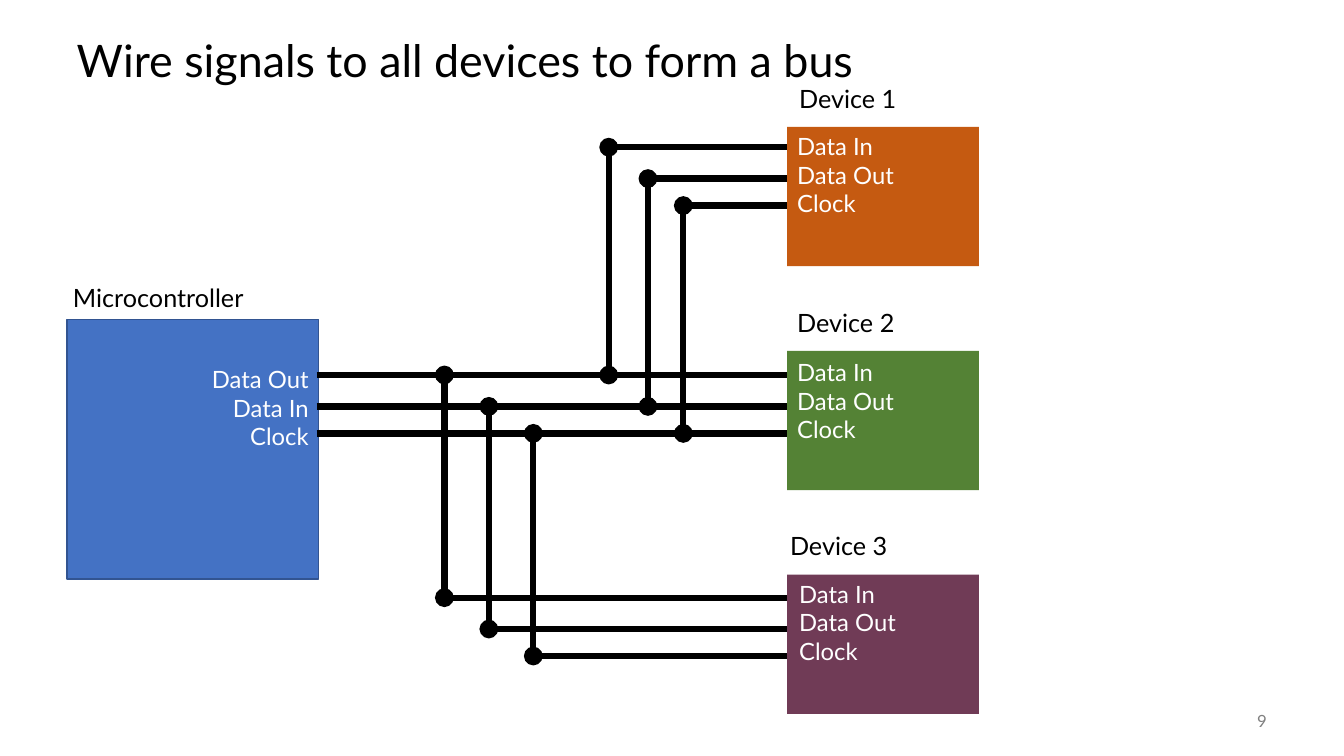
import pptx
import pptx.util
import pptx.dml.color
import pptx.enum.shapes
import pptx.enum.text
import pptx.oxml.ns
import pptx.oxml.xmlchemy

Cm = pptx.util.Cm
Pt = pptx.util.Pt
ALIGN = pptx.enum.text.PP_ALIGN
ANCHOR = pptx.enum.text.MSO_ANCHOR
AUTO = pptx.enum.text.MSO_AUTO_SIZE

BUS_YS = (9.45, 10.24, 10.92)
DEVICE_X, DEVICE_W, DEVICE_H = 19.84, 4.83, 3.51
DEVICE_TOP, DEVICE_PITCH = 3.2, 5.64
PINS = "Data In\nData Out\nClock"


def color(value):
    return pptx.dml.color.RGBColor.from_string(value)


def write(tf, text, size=18, fill="000000", align=ALIGN.LEFT,
          anchor=ANCHOR.TOP, auto=AUTO.SHAPE_TO_FIT_TEXT, spacing=None):
    tf.word_wrap = True
    tf.text = text
    tf.auto_size = auto
    tf.vertical_anchor = anchor
    for p in tf.paragraphs:
        p.alignment = align
        p.line_spacing = spacing
        for r in p.runs:
            r.font.name = "Lato"
            r.font.size = Pt(size)
            r.font.color.rgb = color(fill)


def add_text(s, box, text, **fmt):
    sp = s.shapes.add_textbox(*map(Cm, box))
    write(sp.text_frame, text, **fmt)


def add_block(s, box, fill, line=None):
    sp = s.shapes.add_shape(pptx.enum.shapes.MSO_SHAPE.RECTANGLE, *map(Cm, box))
    sp.shadow.inherit = False
    sp.fill.solid()
    sp.fill.fore_color.rgb = color(fill)
    if line:
        sp.line.color.rgb = color(line)
        sp.line.width = Pt(1)
    else:
        sp.line.fill.background()


def add_wire(s, x1, y1, x2, y2, dots=False):
    wire = s.shapes.add_connector(
        pptx.enum.shapes.MSO_CONNECTOR.STRAIGHT, Cm(x1), Cm(y1), Cm(x2), Cm(y2))
    wire.line.color.rgb = color("000000")
    wire.line.width = Pt(4.5)
    sp_pr = wire._element.spPr
    if dots:
        ln = sp_pr.find(pptx.oxml.ns.qn("a:ln"))
        for tag in ("a:headEnd", "a:tailEnd"):
            end = pptx.oxml.xmlchemy.OxmlElement(tag)
            end.set("type", "oval")
            ln.append(end)
    sp_pr.append(pptx.oxml.xmlchemy.OxmlElement("a:effectLst"))


def add_title(s, box, text):
    sp = s.shapes.title
    sp.left, sp.top, sp.width, sp.height = map(Cm, box)
    write(sp.text_frame, text, size=32, anchor=ANCHOR.MIDDLE,
          auto=AUTO.NONE, spacing=0.9)


def add_microcontroller(s, x, y, w, h):
    add_block(s, (x, y, w, h), "4472C4", "325491")
    add_text(s, (x - 0.1, y - 1.07, w, 1.02), "Microcontroller")
    add_text(s, (x + 1.22, y + 1.02, w - 1.22, 2.44),
             "Data Out\nData In\nClock", size=17, fill="FFFFFF", align=ALIGN.RIGHT)


def add_device(s, x, y, w, h, name, fill, name_dx, name_dy, pins_dx, pins_dy):
    add_block(s, (x, y, w, h), fill)
    add_text(s, (x + name_dx, y - name_dy, w, 1.02), name)
    add_text(s, (x + pins_dx, y + pins_dy, w, 2.44), PINS, size=17, fill="FFFFFF")


def add_bus(s, x, right):
    for y in BUS_YS:
        add_wire(s, x, y, right, y)


def add_branch(s, xs, dy, right):
    for x, y in zip(xs, BUS_YS):
        add_wire(s, x, y + dy, right, y + dy)
        add_wire(s, x, y, x, y + dy, dots=True)


def main():
    prs = pptx.Presentation()
    prs.slide_width, prs.slide_height = Cm(33.87), Cm(19.05)
    s = prs.slides.add_slide(prs.slide_layouts[5])
    add_title(s, (1.68, 0.64, 30.48, 1.9), "Wire signals to all devices to form a bus")
    add_microcontroller(s, 1.69, 8.05, 6.34, 6.54)
    devices = (
        ("Device 1", "C55A11", 0.05, 1.22, 0, 0),
        ("Device 2", "548235", 0, 1.22, 0, 0.05),
        ("Device 3", "703B56", -0.18, 1.25, 0.05, 0),
    )
    for i, device in enumerate(devices):
        add_device(s, DEVICE_X, DEVICE_TOP + i * DEVICE_PITCH,
                   DEVICE_W, DEVICE_H, *device)
    add_bus(s, 7.98, DEVICE_X)
    add_branch(s, (15.34, 16.33, 17.22), -5.74, DEVICE_X)
    add_branch(s, (11.2, 12.32, 13.44), 5.61, DEVICE_X)
    add_text(s, (29.64, 17.65, 2.54, 1.02), "9", size=12, fill="808080",
             align=ALIGN.RIGHT, anchor=ANCHOR.MIDDLE, auto=AUTO.NONE)
    prs.save("out.pptx")


if __name__ == "__main__":
    main()
